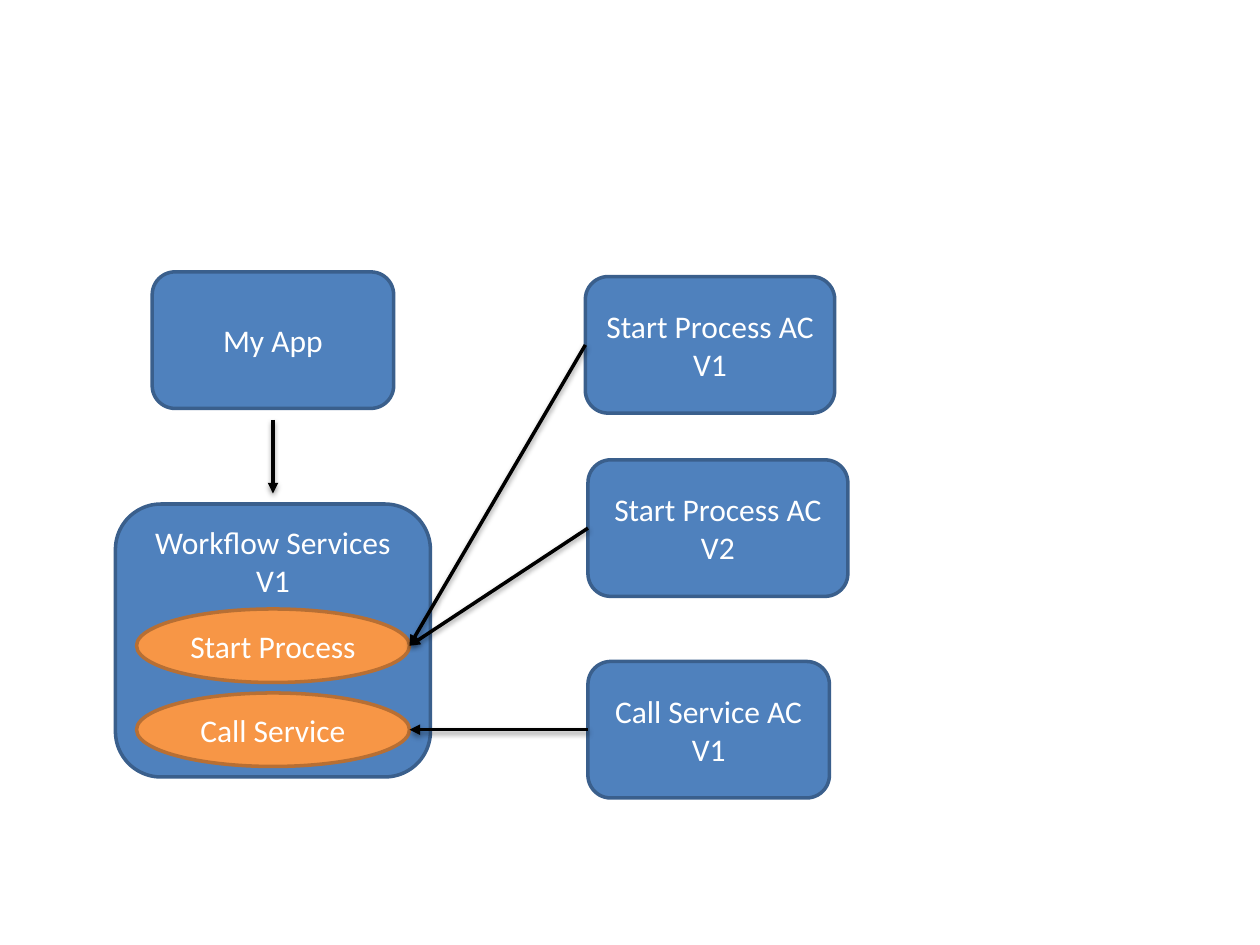
from lxml import etree
from pptx import Presentation, util as u
from pptx.dml.color import RGBColor
from pptx.enum import shapes, text
from pptx.oxml import ns

COLORS = {"box": "4F81BD", "box_edge": "3A5F8C", "service": "F79646",
          "service_edge": "B76F34", "text": "FFFFFF", "arrow": "000000"}
COLUMNS, ROWS = 120, 90
BOX_ROWS = 13
ROUNDED = shapes.MSO_SHAPE.ROUNDED_RECTANGLE

prs = Presentation()
prs.slide_width, prs.slide_height = u.Inches(10), u.Inches(7.5)
slide = prs.slides.add_slide(prs.slide_layouts[6])


def rgb(name):
    return RGBColor.from_string(COLORS[name])


def grid(col, row):
    return round(prs.slide_width * col / COLUMNS), round(prs.slide_height * row / ROWS)


def add_node(box, label, kind=ROUNDED, color="box", anchor=text.MSO_ANCHOR.MIDDLE):
    col, row, width, height = box
    node = slide.shapes.add_shape(kind, *grid(col, row), *grid(width, height))
    node.shadow.inherit = False
    node.fill.solid()
    node.fill.fore_color.rgb = rgb(color)
    node.line.color.rgb = rgb(color + "_edge")
    node.line.width = u.Pt(2)
    frame = node.text_frame
    frame.word_wrap = True
    frame.vertical_anchor = anchor
    frame.text = label
    for paragraph in frame.paragraphs:
        paragraph.alignment = text.PP_ALIGN.CENTER
        paragraph.font.name = "Calibri"
        paragraph.font.size = u.Pt(18)
        paragraph.font.color.rgb = rgb("text")


def add_arrow(start, end):
    arrow = slide.shapes.add_connector(shapes.MSO_CONNECTOR.STRAIGHT, *grid(*start), *grid(*end))
    arrow.line.color.rgb = rgb("arrow")
    arrow.line.width = u.Pt(2)
    properties = arrow._element.spPr
    etree.SubElement(properties.find(ns.qn("a:ln")), ns.qn("a:tailEnd"), type="triangle")
    # Soft shadow straight below the line
    effects = etree.SubElement(properties, ns.qn("a:effectLst"))
    shadow = etree.SubElement(effects, ns.qn("a:outerShdw"), blurRad=str(u.Pt(3.1)),
                              dist=str(u.Pt(1.6)), dir="5400000", rotWithShape="0")
    shade = etree.SubElement(shadow, ns.qn("a:srgbClr"), val=COLORS["arrow"])
    etree.SubElement(shade, ns.qn("a:alpha"), val="38000")


def add_workflow(box, services):
    """Draw the workflow box and return the right tip of each service."""
    col, row, width, height = box
    add_node(box, "Workflow Services\nV1", anchor=text.MSO_ANCHOR.TOP)
    tips = {}
    for index, service in enumerate(services):
        oval = (col + 2, row + 10 + 8 * index, width - 4, 7)
        add_node(oval, service, shapes.MSO_SHAPE.OVAL, "service")
        tips[service] = (oval[0] + oval[2], oval[1] + oval[3] / 2)
    return tips


def add_callers(callers, tips):
    for col, row, width, service, version in callers:
        add_node((col, row, width, BOX_ROWS), f"{service} AC\n{version}")
        add_arrow((col, row + BOX_ROWS / 2), tips[service])


# Application and the workflow services it uses
add_node((14.5, 25.9, 23, BOX_ROWS), "My App")
service_tips = add_workflow((11, 48, 30, 26), ["Start Process", "Call Service"])
add_arrow((26, 40), (26, 47))

# Versioned callers of each service
add_callers([
    (56, 63, 23, "Call Service", "V1"),
    (56, 43.8, 24.75, "Start Process", "V2"),
    (55.75, 26.35, 23.75, "Start Process", "V1"),
], service_tips)

prs.save("out.pptx")
